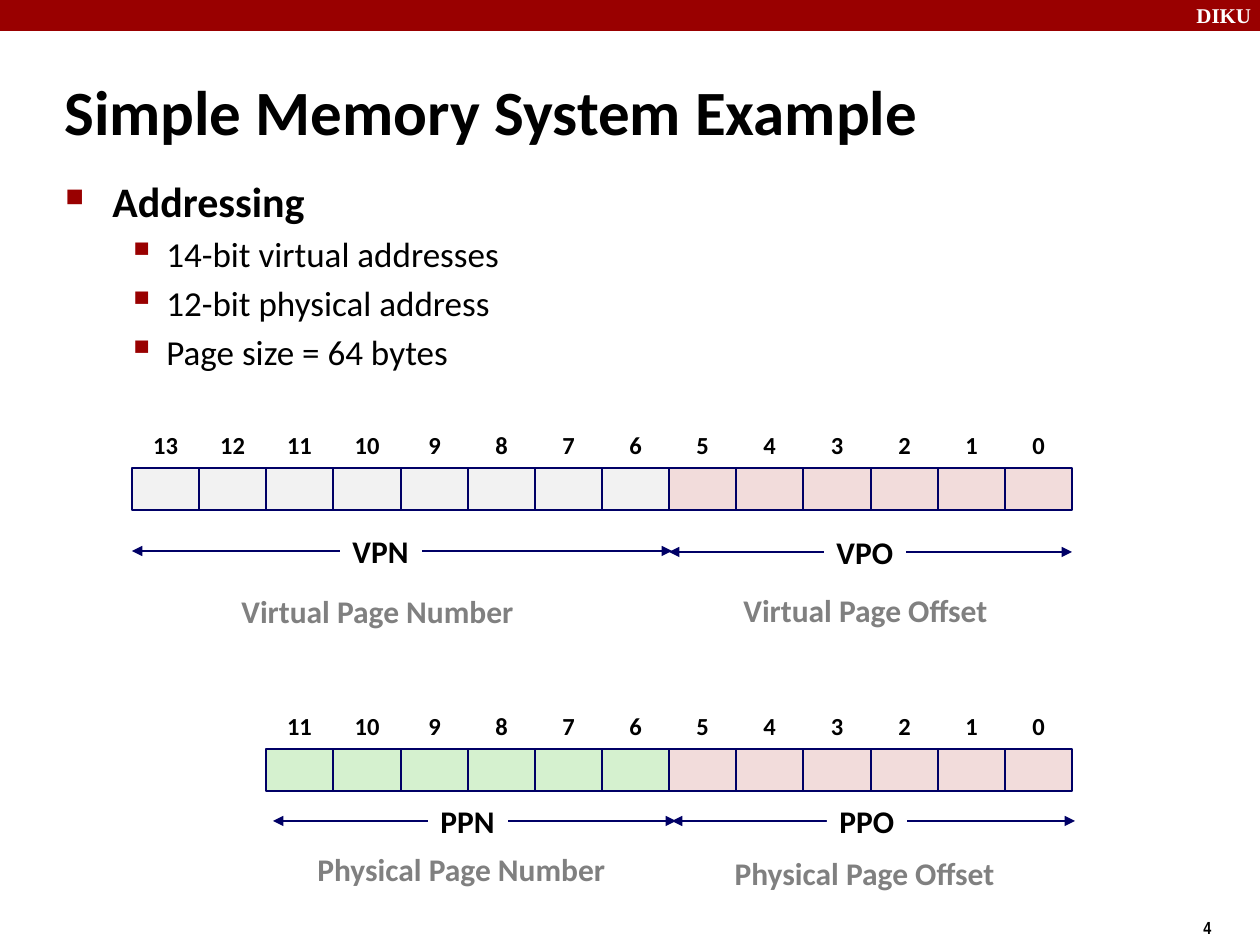
"""Build a slide that shows the address layout of a simple memory system."""
from dataclasses import dataclass

from lxml.etree import SubElement
from pptx import Presentation
from pptx.dml.color import RGBColor
from pptx.enum.shapes import MSO_CONNECTOR, MSO_SHAPE
from pptx.enum.text import MSO_ANCHOR, PP_ALIGN
from pptx.oxml.ns import qn
from pptx.shapes.base import BaseShape
from pptx.slide import Slide
from pptx.util import Emu, Pt

EMU_PER_PX = 914400 / 126
COLORS = {
    "black": "000000",
    "white": "FFFFFF",
    "red": "990000",
    "navy": "000066",
    "gray": "808080",
    "page number": "F2F2F2",
    "frame number": "D5F1CF",
    "offset": "F2DCDB",
}
BITS_LEFT, BITS_WIDTH, BIT_COUNT = 132, 940, 14
CELL_HEIGHT, OFFSET_BITS = 42, 6


@dataclass(frozen=True)
class Box:
    left: int
    top: int
    width: int
    height: int


@dataclass(frozen=True)
class TextStyle:
    size: int
    color: str = "black"
    name: str = "Calibri"
    bold: bool = True
    alignment: PP_ALIGN = PP_ALIGN.LEFT
    line_spacing: float = 1.0
    wrap: bool = False
    anchor: MSO_ANCHOR = MSO_ANCHOR.TOP


@dataclass(frozen=True)
class Bullet:
    text: str
    style: TextStyle
    level: int
    margin: int
    hanging: int
    space: float
    symbol: str
    percent: int


@dataclass(frozen=True)
class AddressRow:
    top: int
    bit_count: int
    fill: str


@dataclass(frozen=True)
class Field:
    start: int
    end: int
    arrow_top: int
    label: str
    label_box: Box
    caption: str
    caption_box: Box
    caption_alignment: PP_ALIGN = PP_ALIGN.LEFT


TITLE = TextStyle(36, wrap=True, anchor=MSO_ANCHOR.MIDDLE)
HEADING = TextStyle(24, wrap=True)
ITEM = TextStyle(20, bold=False, wrap=True)
BIT = TextStyle(14, alignment=PP_ALIGN.CENTER, line_spacing=0.88, anchor=MSO_ANCHOR.MIDDLE)
LABEL = TextStyle(18, line_spacing=0.88)
DEPARTMENT = TextStyle(12, "white", "Times New Roman", wrap=True)
SLIDE_NUMBER = TextStyle(10, name="Arial Narrow")

BULLETS = [Bullet("Addressing", HEADING, 0, 48, 47, 0, "■", 60)] + [
    Bullet(text, ITEM, 1, 102, 39, 4, "▪", 110)
    for text in ("14-bit virtual addresses", "12-bit physical address", "Page size = 64 bytes")
]
ROWS = [AddressRow(468, 14, "page number"), AddressRow(749, 12, "frame number")]
FIELDS = [
    Field(669, 1072, 552, "VPO", Box(824, 532, 82, 50),
          "Virtual Page Offset", Box(731, 590, 270, 50)),
    Field(672, 1075, 821, "PPO", Box(827, 801, 80, 50),
          "Physical Page Offset", Box(722, 853, 285, 50), PP_ALIGN.CENTER),
    Field(273, 676, 821, "PPN", Box(428, 801, 80, 50),
          "Physical Page Number", Box(305, 849, 314, 50)),
    Field(132, 672, 551, "VPN", Box(340, 531, 82, 50),
          "Virtual Page Number", Box(229, 591, 298, 50)),
]


def to_emu(*lengths: int) -> list[Emu]:
    """Convert pixel lengths to EMU."""
    return [Emu(round(length * EMU_PER_PX)) for length in lengths]


def get_color(name: str) -> RGBColor:
    """Return the named colour."""
    return RGBColor.from_string(COLORS[name])


def set_formats(target: object, formats: dict[str, object]) -> None:
    """Set every format value on the target."""
    for name, value in formats.items():
        setattr(target, name, value)


def format_paragraph(paragraph: object, text: str, style: TextStyle) -> None:
    """Fill a paragraph with styled text."""
    set_formats(paragraph, {
        "text": text, "alignment": style.alignment, "line_spacing": style.line_spacing})
    set_formats(paragraph.font, {
        "name": style.name, "size": Pt(style.size), "bold": style.bold})
    paragraph.font.color.rgb = get_color(style.color)


def write_text(shape: BaseShape, text: str, style: TextStyle) -> None:
    """Write one paragraph into a shape."""
    set_formats(shape.text_frame, {"word_wrap": style.wrap, "vertical_anchor": style.anchor})
    format_paragraph(shape.text_frame.paragraphs[0], text, style)


def add_text(slide: Slide, box: Box, text: str, style: TextStyle,
             alignment: PP_ALIGN | None = None) -> None:
    """Add a text box, with another alignment if one is given."""
    shape = slide.shapes.add_textbox(*to_emu(box.left, box.top, box.width, box.height))
    write_text(shape, text, style)
    if alignment is not None:
        shape.text_frame.paragraphs[0].alignment = alignment


def add_rectangle(slide: Slide, box: Box, fill: str, outline: str | None = None) -> BaseShape:
    """Add a filled rectangle, outlined if a colour is given."""
    shape = slide.shapes.add_shape(
        MSO_SHAPE.RECTANGLE, *to_emu(box.left, box.top, box.width, box.height))
    shape.shadow.inherit = False
    shape.fill.solid()
    shape.fill.fore_color.rgb = get_color(fill)
    if outline is None:
        shape.line.fill.background()
    else:
        shape.line.color.rgb = get_color(outline)
        shape.line.width = Pt(0.75)
    return shape


def add_bullets(slide: Slide, box: Box, bullets: list[Bullet]) -> None:
    """Add a text box with a bulleted list."""
    shape = slide.shapes.add_textbox(*to_emu(box.left, box.top, box.width, box.height))
    frame = shape.text_frame
    frame.word_wrap = True
    for index, bullet in enumerate(bullets):
        paragraph = frame.add_paragraph() if index else frame.paragraphs[0]
        properties = paragraph._p.get_or_add_pPr()
        margin, hanging = to_emu(bullet.margin, bullet.hanging)
        properties.set("marL", str(margin))
        properties.set("indent", str(-hanging))
        color = SubElement(properties, qn("a:buClr"))
        SubElement(color, qn("a:srgbClr"), val=COLORS["red"])
        SubElement(properties, qn("a:buSzPct"), val=str(bullet.percent * 1000))
        SubElement(properties, qn("a:buChar"), char=bullet.symbol)
        set_formats(paragraph, {"level": bullet.level, "space_before": Pt(bullet.space)})
        format_paragraph(paragraph, bullet.text, bullet.style)


def get_bit_edge(position: int) -> int:
    """Return the left edge of a bit position counted from the left."""
    return BITS_LEFT + round(position * BITS_WIDTH / BIT_COUNT)


def add_address_row(slide: Slide, row: AddressRow) -> None:
    """Add the numbered bit cells of one address."""
    for bit in reversed(range(row.bit_count)):
        position = BIT_COUNT - 1 - bit
        left = get_bit_edge(position)
        width = get_bit_edge(position + 1) - left
        fill = "offset" if bit < OFFSET_BITS else row.fill
        add_rectangle(slide, Box(left, row.top, width, CELL_HEIGHT), fill, "navy")
        add_text(slide, Box(left, row.top - CELL_HEIGHT, width, CELL_HEIGHT), str(bit), BIT)


def add_field(slide: Slide, field: Field) -> None:
    """Add a double arrow with its label and caption."""
    arrow = slide.shapes.add_connector(
        MSO_CONNECTOR.STRAIGHT,
        *to_emu(field.start, field.arrow_top, field.end, field.arrow_top))
    arrow.line.color.rgb = get_color("navy")
    arrow.line.width = Pt(0.75)
    properties = arrow._element.spPr
    for end in ("a:headEnd", "a:tailEnd"):
        SubElement(properties.find(qn("a:ln")), qn(end), type="triangle")
    SubElement(properties, qn("a:effectLst"))
    write_text(add_rectangle(slide, field.label_box, "white"), field.label, LABEL)
    caption_style = TextStyle(18, "gray", line_spacing=0.88)
    add_text(slide, field.caption_box, field.caption, caption_style, field.caption_alignment)


def main() -> None:
    """Build and save the presentation."""
    presentation = Presentation()
    width, height = to_emu(1260, 945)
    set_formats(presentation, {"slide_width": width, "slide_height": height})
    slide = presentation.slides.add_slide(presentation.slide_layouts[6])
    add_rectangle(slide, Box(0, 0, 1260, 31), "red")
    add_text(slide, Box(1184, -4, 84, 38), "DIKU", DEPARTMENT)
    add_text(slide, Box(1191, 911, 94, 36), "4", SLIDE_NUMBER)
    add_text(slide, Box(52, 71, 1007, 79), "Simple Memory System Example", TITLE)
    add_bullets(slide, Box(52, 169, 1144, 218), BULLETS)
    for row in ROWS:
        add_address_row(slide, row)
    for field in FIELDS:
        add_field(slide, field)
    presentation.save("out.pptx")


if __name__ == "__main__":
    main()
